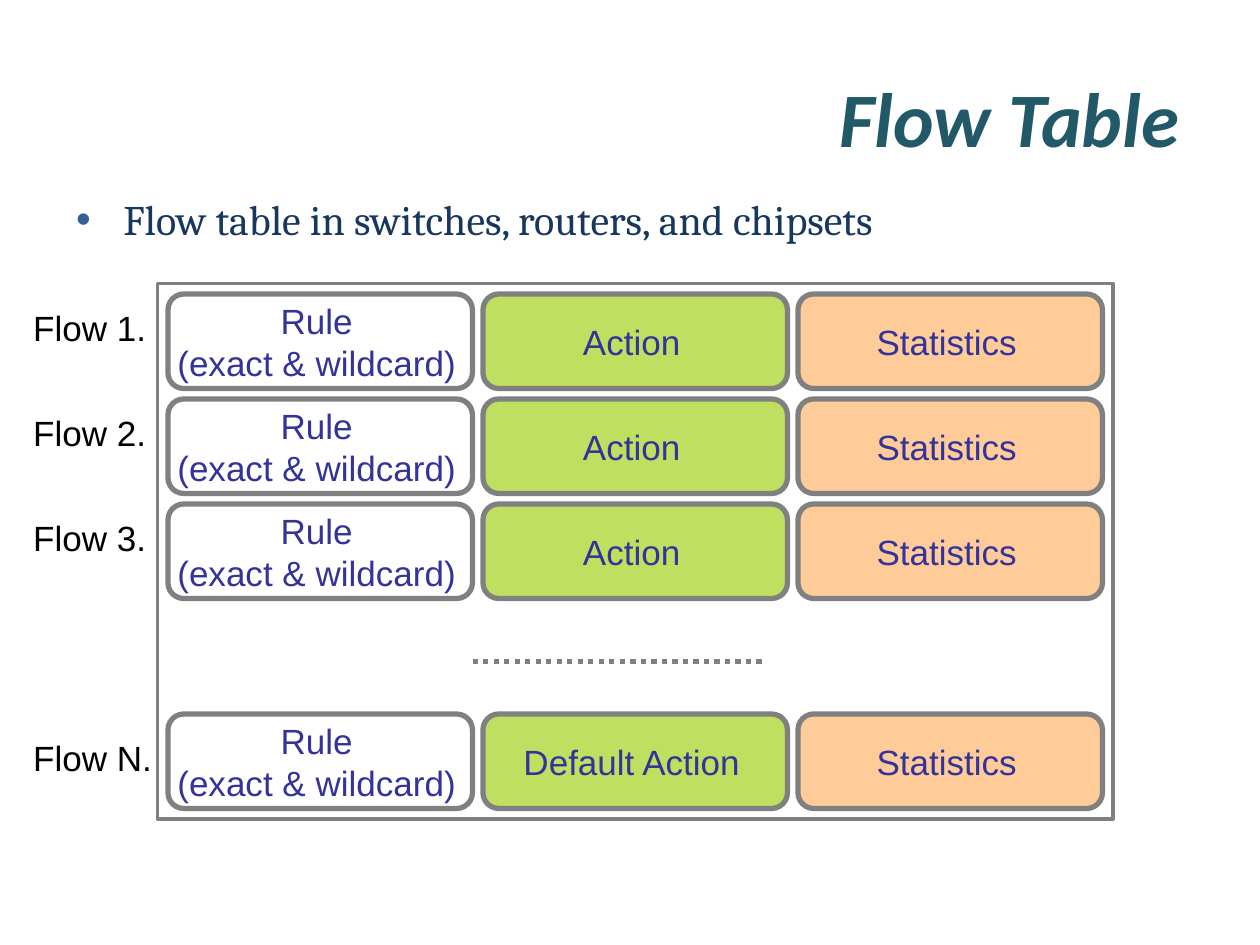
from lxml import etree
from pptx import Presentation
from pptx.dml.color import RGBColor
from pptx.enum.dml import MSO_LINE
from pptx.enum.shapes import MSO_CONNECTOR, MSO_SHAPE
from pptx.enum.text import MSO_ANCHOR, PP_ALIGN
from pptx.oxml.ns import qn
from pptx.util import Pt

RECT, ROUND = MSO_SHAPE.RECTANGLE, MSO_SHAPE.ROUNDED_RECTANGLE
LINE, DOTS = MSO_CONNECTOR.STRAIGHT, MSO_LINE.ROUND_DOT
TOP, MID = MSO_ANCHOR.TOP, MSO_ANCHOR.MIDDLE
LEFT, MIDDLE, RIGHT = PP_ALIGN.LEFT, PP_ALIGN.CENTER, PP_ALIGN.RIGHT
GRAY = RGBColor(0x80, 0x80, 0x80)
WHITE = RGBColor(0xFF, 0xFF, 0xFF)
GREEN = RGBColor(0x99, 0xCC, 0x00)
PEACH = RGBColor(0xFF, 0xCC, 0x99)
INDIGO = RGBColor(0x33, 0x33, 0x99)
BLACK = RGBColor(0, 0, 0)
TEAL = RGBColor(0x21, 0x59, 0x68)
NAVY = RGBColor(0x17, 0x37, 0x5E)
BLUE = RGBColor(0x37, 0x60, 0x92)

TITLE = {"name": "Calibri", "size": Pt(44), "bold": True, "italic": True}
BODY = {"name": "Cambria", "size": Pt(24)}
CELL = {"name": "Arial", "size": Pt(20)}


class Deck:
    """Hold the style and the current slide, and draw each kind of element."""

    def __init__(self, slide):
        self.shapes = slide.shapes

    def label(self, shape, text, font, color, align, anchor, pads, wrap, lead=None):
        frame = shape.text_frame
        sides = ("margin_left", "margin_top", "margin_right", "margin_bottom")
        form = dict(zip(sides, map(Pt, pads)), word_wrap=wrap, vertical_anchor=anchor)
        for key, value in form.items():
            setattr(frame, key, value)
        frame.text = text
        for para in frame.paragraphs:
            para.alignment = align
            if lead:
                para.line_spacing = Pt(lead)
            for run in para.runs:
                for key, value in font.items():
                    setattr(run.font, key, value)
                run.font.color.rgb = color
        return frame

    def text(self, x, y, w, h, *style):
        box = self.shapes.add_textbox(Pt(x), Pt(y), Pt(w), Pt(h))
        return self.label(box, *style)

    def bullet(self, para):
        props = para._p.get_or_add_pPr()
        props.set("marL", str(Pt(30)))
        props.set("indent", str(-Pt(27)))
        tint = etree.SubElement(props, qn("a:buClr"))
        etree.SubElement(tint, qn("a:srgbClr"), val=str(BLUE))
        etree.SubElement(props, qn("a:buFont"), typeface="Arial")
        etree.SubElement(props, qn("a:buChar"), char="•")

    def box(self, kind, x, y, w, h, width, fill=None, alpha=None):
        shape = self.shapes.add_shape(kind, Pt(x), Pt(y), Pt(w), Pt(h))
        shape.shadow.inherit = False
        shape.line.color.rgb = GRAY
        shape.line.width = Pt(width)
        if fill is None:
            shape.fill.background()
        else:
            shape.fill.solid()
            shape.fill.fore_color.rgb = fill
        if alpha:
            tint = shape._element.spPr.find(qn("a:solidFill"))[0]
            etree.SubElement(tint, qn("a:alpha"), val=str(alpha * 1000))
        return shape

    def cell(self, x, y, text, fill, alpha):
        shape = self.box(ROUND, x, y, 174, 54, 3, fill, alpha)
        self.label(shape, text, CELL, INDIGO, MIDDLE, MID, (3, 3, 7, 3), False, 24)

    def dots(self, x, y, end):
        line = self.shapes.add_connector(LINE, Pt(x), Pt(y), Pt(end), Pt(y))
        line.line.color.rgb = GRAY
        line.line.width = Pt(3)
        line.line.dash_style = DOTS
        etree.SubElement(line._element.spPr, qn("a:effectLst"))


def main():
    prs = Presentation()
    prs.slide_width, prs.slide_height = Pt(720), Pt(540)
    deck = Deck(prs.slides.add_slide(prs.slide_layouts[6]))

    deck.text(36, 21.6, 648, 90, "Flow Table", TITLE, TEAL, RIGHT, MID,
              (4.5, 4.5, 10, 4.5), True)
    body = deck.text(36, 106, 648, 40, "Flow table in switches, routers, and chipsets",
                     BODY, NAVY, LEFT, TOP, (4.5, 4.5, 10, 4.5), True)
    deck.bullet(body.paragraphs[0])

    deck.box(RECT, 90, 162, 546, 306, 2)
    rows = (("1", 0, 7, "Action"), ("2", 1, 7, "Action"),
            ("3", 2, 7, "Action"), ("N", 4, 13, "Default Action"))
    for mark, step, drop, action in rows:
        y = 168 + 60 * step
        cells = (("Rule\n(exact & wildcard)", WHITE, None),
                 (action, GREEN, 62), ("Statistics", PEACH, None))
        for col, (text, fill, alpha) in enumerate(cells):
            deck.cell(96 + 180 * col, y, text, fill, alpha)
        deck.text(16, y + drop, 74, 24, f"Flow {mark}.", CELL, BLACK, LEFT, TOP,
                  (3, 0, 3, 0), False, 24)
    deck.dots(270, 378, 438)

    prs.save("out.pptx")


if __name__ == "__main__":
    main()
